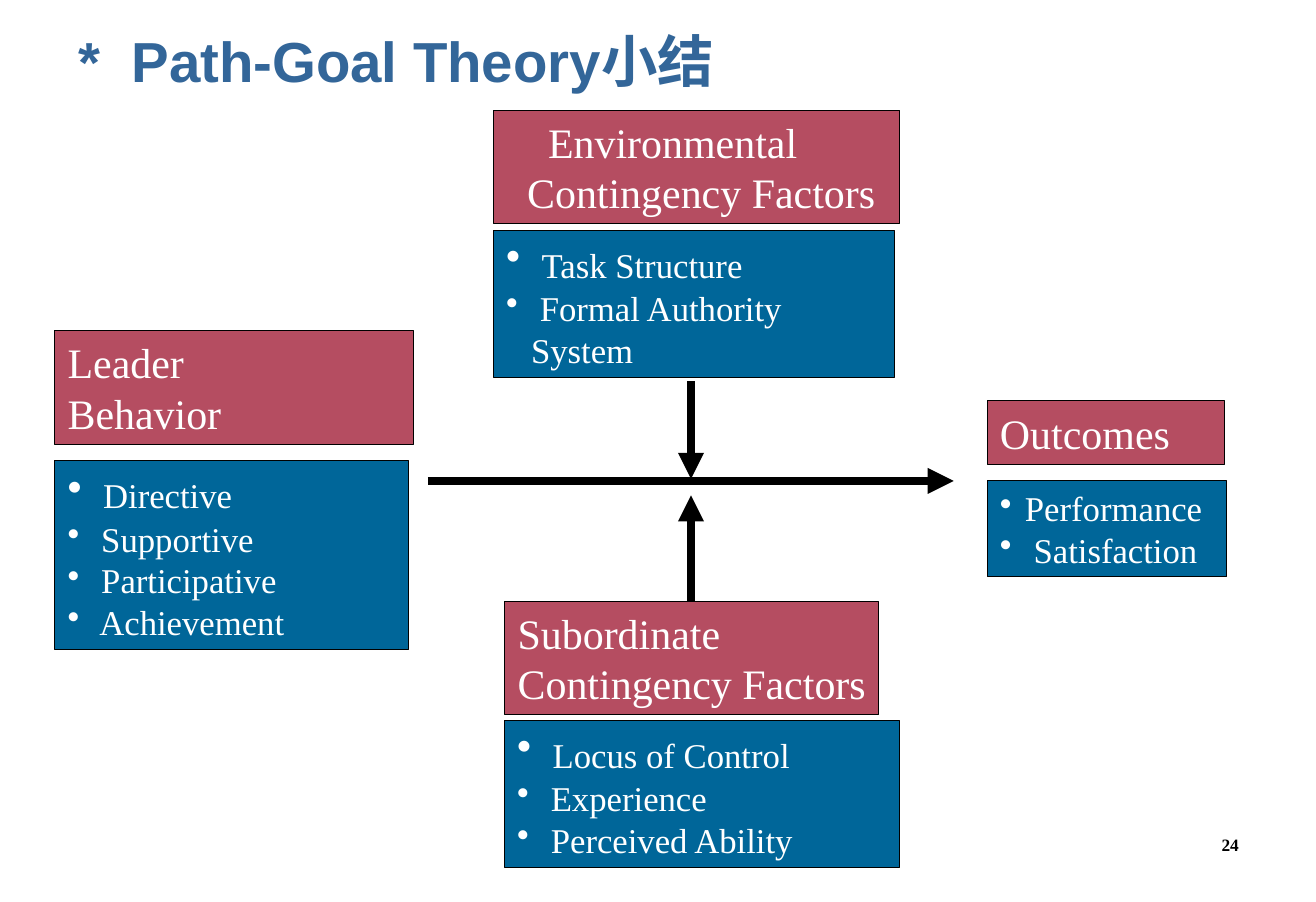
from lxml import etree
from pptx import Presentation
from pptx import util as u
from pptx.dml.color import RGBColor
from pptx.enum import shapes, text
from pptx.oxml.ns import qn

COLORS = {"title": "336699", "heading": "B54D61", "factors": "006699",
          "ink": "000000", "paper": "FFFFFF"}
SERIF = "Times New Roman"
HEADING_SIZE, FACTOR_SIZE = 29, 24
HANG = u.Cm(0.61)


def style_run(run, size, color, font=SERIF, bold=False):
    run.font.size = u.Pt(size)
    run.font.name = font
    run.font.bold = bold
    run.font.color.rgb = RGBColor.from_string(COLORS[color])


def add_panel(left, top, width, height, fill, lines):
    """Add an outlined box with one paragraph per line, and return its paragraphs."""
    panel = slide.shapes.add_shape(shapes.MSO_SHAPE.RECTANGLE, u.Cm(left), u.Cm(top),
                                   u.Cm(width), u.Cm(height))
    panel.shadow.inherit = False
    panel.fill.solid()
    panel.fill.fore_color.rgb = RGBColor.from_string(COLORS[fill])
    panel.line.color.rgb = RGBColor.from_string(COLORS["ink"])
    panel.line.width = u.Pt(0.75)
    frame = panel.text_frame
    frame.word_wrap = True
    frame.vertical_anchor = text.MSO_ANCHOR.TOP
    frame.margin_left, frame.margin_right = u.Cm(0.31), u.Cm(0.25)
    frame.margin_top = frame.margin_bottom = u.Cm(0.15)
    frame.text = "\n".join(lines)
    for paragraph in frame.paragraphs:
        paragraph.alignment = text.PP_ALIGN.LEFT
    return frame.paragraphs


deck = Presentation()
deck.slide_width, deck.slide_height = u.Cm(32.11), u.Cm(22)
slide = deck.slides.add_slide(deck.slide_layouts[5])

title = slide.shapes.title
title.left, title.top, title.width, title.height = u.Cm(1.6), u.Cm(0.48), u.Cm(28.35), u.Cm(1.96)
title_frame = title.text_frame
title_frame.text = "*  Path-Goal Theory小结"
title_frame.auto_size = text.MSO_AUTO_SIZE.NONE
title_frame.vertical_anchor = text.MSO_ANCHOR.MIDDLE
title_frame.margin_left = title_frame.margin_right = u.Cm(0.31)
title_frame.paragraphs[0].alignment = text.PP_ALIGN.LEFT
style_run(title_frame.paragraphs[0].runs[0], 39, "title", "Arial", True)

headings = [
    (12.04, 2.69, 9.91, 2.77, ["    Environmental", "  Contingency Factors"]),
    (1.34, 8.07, 8.74, 2.77, ["Leader", "Behavior"]),
    (24.09, 9.78, 5.79, 1.55, ["Outcomes"]),
    (12.32, 14.67, 9.12, 2.77, ["Subordinate", "Contingency Factors"]),
]
for left, top, width, height, lines in headings:
    for paragraph in add_panel(left, top, width, height, "heading", lines):
        style_run(paragraph.runs[0], HEADING_SIZE, "paper")

factor_lists = [
    (12.04, 5.62, 9.78, 3.58, [" Task Structure", " Formal Authority System"]),
    (1.34, 11.24, 8.64, 4.6, [" Directive", " Supportive", " Participative", " Achievement"]),
    (24.09, 11.73, 5.84, 2.34, ["Performance", " Satisfaction"]),
    (12.31, 17.57, 9.63, 3.58, [" Locus of Control", " Experience", " Perceived Ability"]),
]
for left, top, width, height, factors in factor_lists:
    paragraphs = add_panel(left, top, width, height, "factors", factors)
    for paragraph in paragraphs:
        properties = paragraph._p.get_or_add_pPr()
        properties.set("marL", str(HANG))
        properties.set("indent", str(-HANG))
        bullet_color = etree.SubElement(properties, qn("a:buClr"))
        etree.SubElement(bullet_color, qn("a:srgbClr"), val=COLORS["paper"])
        etree.SubElement(properties, qn("a:buChar"), char="•")
        style_run(paragraph.runs[0], FACTOR_SIZE, "paper")
    # The leading space of a first item has the heading size, which enlarges its bullet
    if factors[0].startswith(" "):
        lead = paragraphs[0].runs[0]
        lead.text = " "
        style_run(lead, HEADING_SIZE, "paper")
        first_factor = paragraphs[0].add_run()
        first_factor.text = factors[0].strip()
        style_run(first_factor, FACTOR_SIZE, "paper")

arrows = [
    (10.44, 11.73, 23.27, 11.73),
    (16.86, 9.3, 16.86, 11.68),
    (16.86, 14.68, 16.86, 12.08),
]
for ends in arrows:
    arrow = slide.shapes.add_connector(shapes.MSO_CONNECTOR.STRAIGHT, *map(u.Cm, ends))
    arrow.line.color.rgb = RGBColor.from_string(COLORS["ink"])
    arrow.line.width = u.Pt(6)
    etree.SubElement(arrow.line._get_or_add_ln(), qn("a:tailEnd"), type="triangle")
    etree.SubElement(arrow._element.spPr, qn("a:effectLst"))

page_number = slide.shapes.add_textbox(u.Cm(22.48), u.Cm(19.54), u.Cm(7.75), u.Cm(1.47))
page_frame = page_number.text_frame
page_frame.word_wrap = True
page_frame.vertical_anchor = text.MSO_ANCHOR.BOTTOM
page_frame.margin_left = page_frame.margin_right = 0
page_frame.margin_top = page_frame.margin_bottom = u.Cm(0.15)
page_frame.text = "24"
page_frame.paragraphs[0].alignment = text.PP_ALIGN.RIGHT
style_run(page_frame.paragraphs[0].runs[0], 12, "ink", bold=True)

deck.save("out.pptx")
